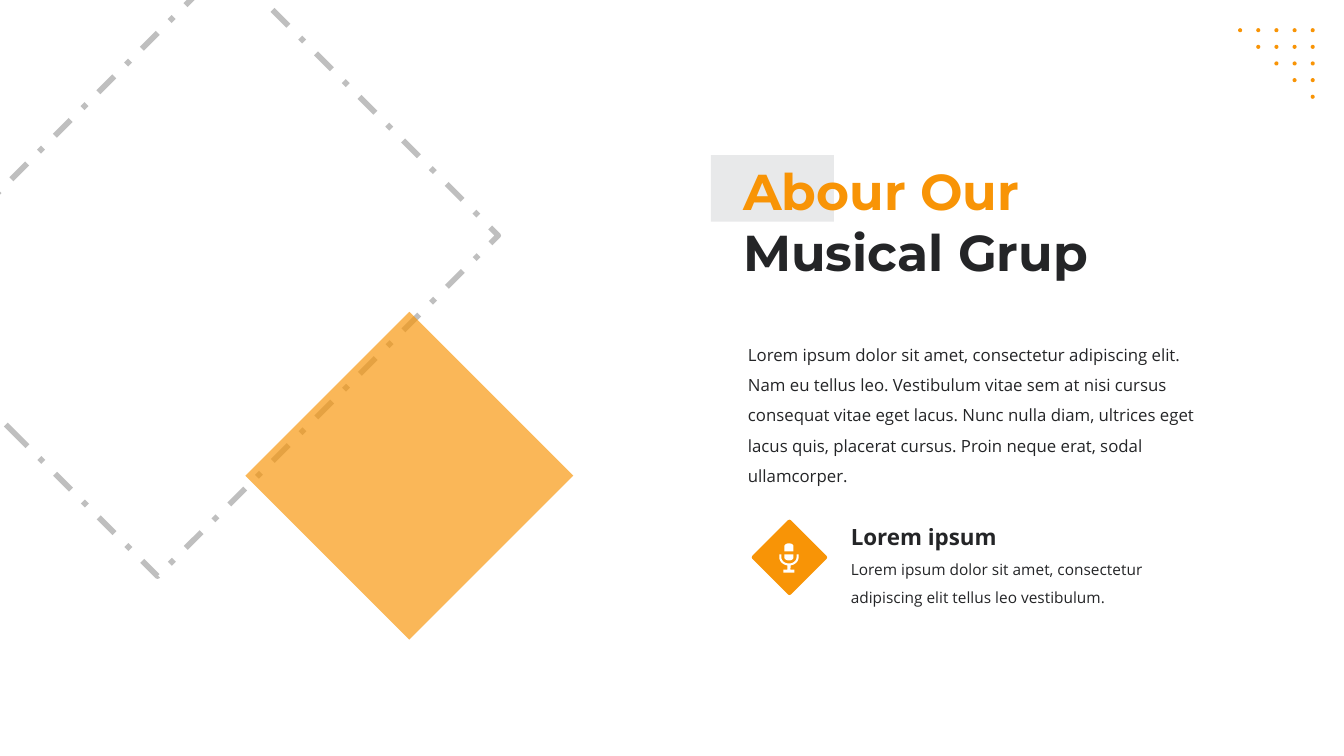
"""Build the slide that introduces the musical group."""
import math
from dataclasses import dataclass

import lxml.etree
import pptx
import pptx.dml.color
import pptx.enum.dml
import pptx.enum.shapes
import pptx.enum.text
import pptx.oxml.ns
import pptx.util

Inches = pptx.util.Inches
Preset = pptx.enum.shapes.MSO_SHAPE


@dataclass(frozen=True)
class Theme:
    orange: str = "F89406"
    ink: str = "242527"
    pale: str = "E8E9EA"
    grey: str = "BFBFBF"
    white: str = "FFFFFF"
    title_font: str = "Montserrat"
    body_font: str = "Open Sans"
    title_size: int = 36
    heading_size: int = 16
    body_size: int = 12
    small_size: int = 11


THEME = Theme()
TITLE = "Abour Our\nMusical Grup"
TITLE_COLORS = (THEME.orange, THEME.ink)
TITLE_AREA = (7.27, 1.54, 4.28, 1.31)
TEXTS = [
    ("Lorem ipsum dolor sit amet, consectetur adipiscing elit. Nam eu tellus leo. "
     "Vestibulum vitae sem at nisi cursus consequat vitae eget lacus. Nunc nulla diam, "
     "ultrices eget lacus quis, placerat cursus. Proin neque erat, sodal ullamcorper.",
     (7.32, 3.27, 4.87, 1.62), THEME.body_size, False),
    ("Lorem ipsum", (8.34, 5.01, 3.36, 0.46), THEME.heading_size, True),
    ("Lorem ipsum dolor sit amet, consectetur adipiscing elit tellus leo vestibulum.",
     (8.34, 5.42, 3.36, 0.66), THEME.small_size, False),
]
DOT_COUNT, DOT_SIZE = 5, 0.04
DOT_LEFT, DOT_TOP = 12.28, 0.28
DOT_STEP_X, DOT_STEP_Y = 0.18, 0.165
MIC_X, MIC_Y = 7.825, 5.53
UNITS = 1000


def rgb(color):
    return pptx.dml.color.RGBColor.from_string(color)


def add_shape(shapes, preset, area, fill=None, line=None, width=0, rotation=0):
    shape = shapes.add_shape(preset, *map(Inches, area))
    shape.rotation = rotation
    paint(shape, fill, line, width)
    return shape


def paint(shape, fill=None, line=None, width=0):
    shape.shadow.inherit = False
    if fill:
        shape.fill.solid()
        shape.fill.fore_color.rgb = rgb(fill)
    else:
        shape.fill.background()
    if line:
        shape.line.color.rgb = rgb(line)
        shape.line.width = pptx.util.Pt(width)
    else:
        shape.line.fill.background()


def style(para, font, size, color, bold, spacing):
    para.alignment = pptx.enum.text.PP_ALIGN.LEFT
    para.line_spacing = spacing
    for span in para.runs:
        span.font.name = font
        span.font.size = pptx.util.Pt(size)
        span.font.bold = bold
        span.font.color.rgb = rgb(color)


def fit_frame(frame):
    frame.word_wrap = True
    frame.auto_size = pptx.enum.text.MSO_AUTO_SIZE.SHAPE_TO_FIT_TEXT
    frame.vertical_anchor = pptx.enum.text.MSO_ANCHOR.TOP


def add_title(page):
    marker = add_shape(page.shapes, Preset.RECTANGLE, (7.05, 1.54, 1.22, 0.66), THEME.pale)
    title = page.shapes.title
    title.left, title.top, title.width, title.height = map(Inches, TITLE_AREA)
    title.text_frame.text = TITLE
    fit_frame(title.text_frame)
    for para, color in zip(title.text_frame.paragraphs, TITLE_COLORS):
        style(para, THEME.title_font, THEME.title_size, color, True, 1.0)
    marker.element.addnext(title.element)


def add_text(page, text, area, size, bold):
    box = page.shapes.add_textbox(*map(Inches, area))
    box.text_frame.text = text
    fit_frame(box.text_frame)
    style(box.text_frame.paragraphs[0], THEME.body_font, size, THEME.ink, bold, 1.5)


def add_diamonds(page):
    frame = add_shape(page.shapes, Preset.RECTANGLE, (0, 0.29, 3.81, 4.78),
                      line=THEME.grey, width=4, rotation=45)
    frame.line.dash_style = pptx.enum.dml.MSO_LINE.DASH_DOT
    veil = add_shape(page.shapes, Preset.RECTANGLE, (2.91, 3.57, 2.3, 2.3),
                     THEME.orange, rotation=45)
    color = veil.element.find(".//" + pptx.oxml.ns.qn("a:srgbClr"))
    lxml.etree.SubElement(color, pptx.oxml.ns.qn("a:alpha"), val="67000")


def add_dots(page):
    dots = page.shapes.add_group_shape()
    for row in range(DOT_COUNT):
        for column in range(row, DOT_COUNT):
            area = (DOT_LEFT + column * DOT_STEP_X, DOT_TOP + row * DOT_STEP_Y,
                    DOT_SIZE, DOT_SIZE)
            add_shape(dots.shapes, Preset.OVAL, area, THEME.orange)


def arc(center_y, radius_x, radius_y, start, stop, steps=16):
    angles = [math.radians(start + (stop - start) * step / steps) for step in range(steps + 1)]
    return [(MIC_X + radius_x * math.cos(angle), center_y + radius_y * math.sin(angle))
            for angle in angles]


def add_microphone(page):
    add_shape(page.shapes, Preset.RECTANGLE, (7.58, 5.28, 0.5, 0.5),
              THEME.orange, THEME.orange, 3, 45)
    foot = [(7.84, 5.65), (7.88, 5.65), (7.88, 5.68), (7.77, 5.68), (7.77, 5.65), (7.81, 5.65)]
    stand = ([(7.92, 5.5)] + arc(MIC_Y, 0.095, 0.08, 0, 80) + foot
             + arc(MIC_Y, 0.095, 0.08, 100, 180) + [(7.73, 5.5), (7.75, 5.5)]
             + arc(MIC_Y, 0.075, 0.06, 180, 0) + [(7.9, 5.5)])
    head = [(7.87, 5.47), (7.78, 5.47)] + arc(5.42, 0.045, 0.03, 180, 360)
    body = [(7.78, 5.5), (7.87, 5.5)] + arc(MIC_Y, 0.045, 0.03, 0, 180)
    outlines = [[(round(x * UNITS), round(y * UNITS)) for x, y in outline]
                for outline in (stand, head, body)]
    builder = page.shapes.build_freeform(*outlines[0][0], scale=Inches(1) / UNITS)
    for number, outline in enumerate(outlines):
        if number:
            builder.move_to(*outline[0])
        builder.add_line_segments(outline[1:], close=True)
    paint(builder.convert_to_shape(), THEME.white)


def main():
    deck = pptx.Presentation()
    deck.slide_width, deck.slide_height = Inches(13.33), Inches(7.5)
    page = deck.slides.add_slide(deck.slide_layouts[5])
    add_diamonds(page)
    add_dots(page)
    add_title(page)
    add_microphone(page)
    for entry in TEXTS:
        add_text(page, *entry)
    deck.save("out.pptx")


if __name__ == "__main__":
    main()
